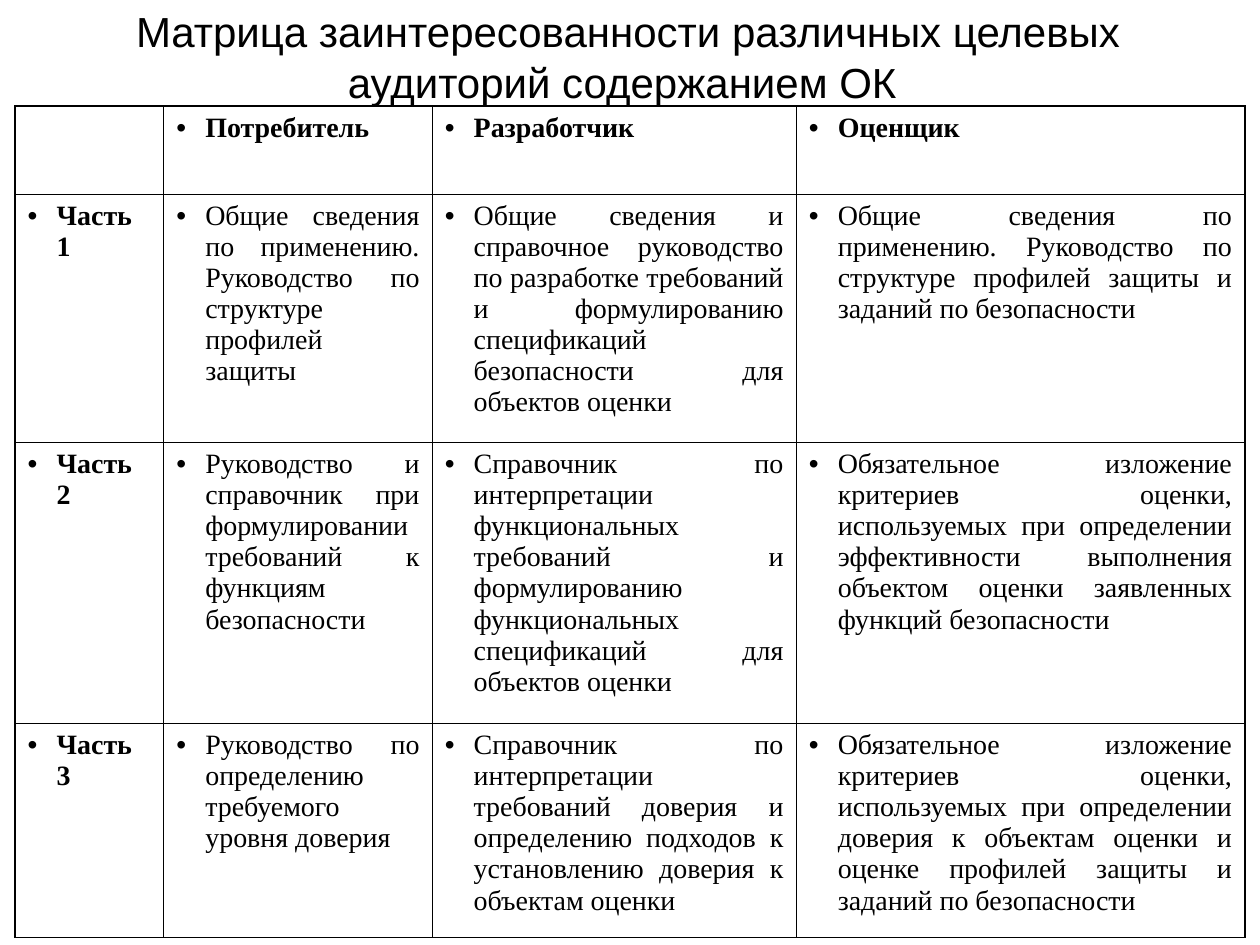
from lxml import etree
from pptx import Presentation
from pptx.dml.color import RGBColor
from pptx.enum.text import MSO_ANCHOR, MSO_AUTO_SIZE, PP_ALIGN
from pptx.oxml.ns import qn
from pptx.util import Inches, Pt

CENTER, JUSTIFY = PP_ALIGN.CENTER, PP_ALIGN.JUSTIFY
MIDDLE = MSO_ANCHOR.MIDDLE
NO_AUTOFIT = MSO_AUTO_SIZE.NONE
BLACK = "000000"
THIN, THICK = Pt(0.45), Pt(0.96)
BULLET_INDENT = Inches(0.23)


def style(font, name, size, color, bold=False):
    font.name = name
    font.size = Pt(size)
    font.bold = bold
    font.color.rgb = RGBColor.from_string(color)


def add_border(cell, side, width):
    line = etree.SubElement(cell._tc.get_or_add_tcPr(), qn(f"a:{side}"), w=str(width))
    fill = etree.SubElement(line, qn("a:solidFill"))
    etree.SubElement(fill, qn("a:srgbClr"), val=BLACK)


matrix = [
    ["", "Потребитель", "Разработчик", "Оценщик"],
    [
        "Часть 1",
        "Общие сведения по применению. Руководство по структуре профилей защиты",
        "Общие сведения и справочное руководство по разработке требований и формулированию спецификаций безопасности для объектов оценки",
        "Общие сведения по применению. Руководство по структуре профилей защиты и заданий по безопасности",
    ],
    [
        "Часть 2",
        "Руководство и справочник при формулировании требований к функциям безопасности",
        "Справочник по интерпретации функциональных требований и формулированию функциональных спецификаций для объектов оценки",
        "Обязательное изложение критериев оценки, используемых при определении эффективности выполнения объектом оценки заявленных функций безопасности",
    ],
    [
        "Часть 3",
        "Руководство по определению требуемого уровня доверия",
        "Справочник по интерпретации требований доверия и определению подходов к установлению доверия к объектам оценки ",
        "Обязательное изложение критериев оценки, используемых при определении доверия к объектам оценки и оценке профилей защиты и заданий по безопасности ",
    ],
]
column_widths = [1.18, 2.13, 2.89, 3.56]
row_heights = [0.7, 1.97, 2.23, 1.7]
last_row, last_column = len(row_heights) - 1, len(column_widths) - 1

prs = Presentation()
prs.slide_width, prs.slide_height = Inches(10), Inches(7.5)
slide = prs.slides.add_slide(prs.slide_layouts[5])

title = slide.shapes.title
title.left, title.top = Inches(0.16), Inches(0.05)
title.width, title.height = Inches(9.65), Inches(0.79)
title_frame = title.text_frame
title_frame.text = "Матрица заинтересованности различных целевых аудиторий содержанием ОК "
title_frame.auto_size = NO_AUTOFIT
title_frame.word_wrap = True
title_frame.vertical_anchor = MIDDLE
heading = title_frame.paragraphs[0]
heading.alignment = CENTER
style(heading.runs[0].font, "Arial", 24, BLACK)

audience_table = slide.shapes.add_table(
    len(row_heights), len(column_widths),
    Inches(0.12), Inches(0.84), Inches(sum(column_widths)), Inches(sum(row_heights)),
).table
audience_table.first_row = False
audience_table.horz_banding = False
for column, width in zip(audience_table.columns, column_widths):
    column.width = Inches(width)
for row, height in zip(audience_table.rows, row_heights):
    row.height = Inches(height)

for r, entries in enumerate(matrix):
    for c, entry in enumerate(entries):
        cell = audience_table.cell(r, c)
        outer_edges = {"lnL": c == 0, "lnR": c == last_column, "lnT": r == 0, "lnB": r == last_row}
        for side, is_outer in outer_edges.items():
            add_border(cell, side, THICK if is_outer else THIN)
        cell.fill.background()
        if not entry:
            continue
        cell.text_frame.text = entry
        paragraph = cell.text_frame.paragraphs[0]
        paragraph.alignment = JUSTIFY
        properties = paragraph._p.get_or_add_pPr()
        properties.set("marL", str(BULLET_INDENT))
        properties.set("indent", str(-BULLET_INDENT))
        bullet_color = etree.SubElement(properties, qn("a:buClr"))
        etree.SubElement(bullet_color, qn("a:srgbClr"), val=BLACK)
        etree.SubElement(properties, qn("a:buFont"), typeface="Arial")
        etree.SubElement(properties, qn("a:buChar"), char="•")
        style(paragraph.runs[0].font, "Times New Roman", 16, BLACK, r == 0 or c == 0)

prs.save("out.pptx")
